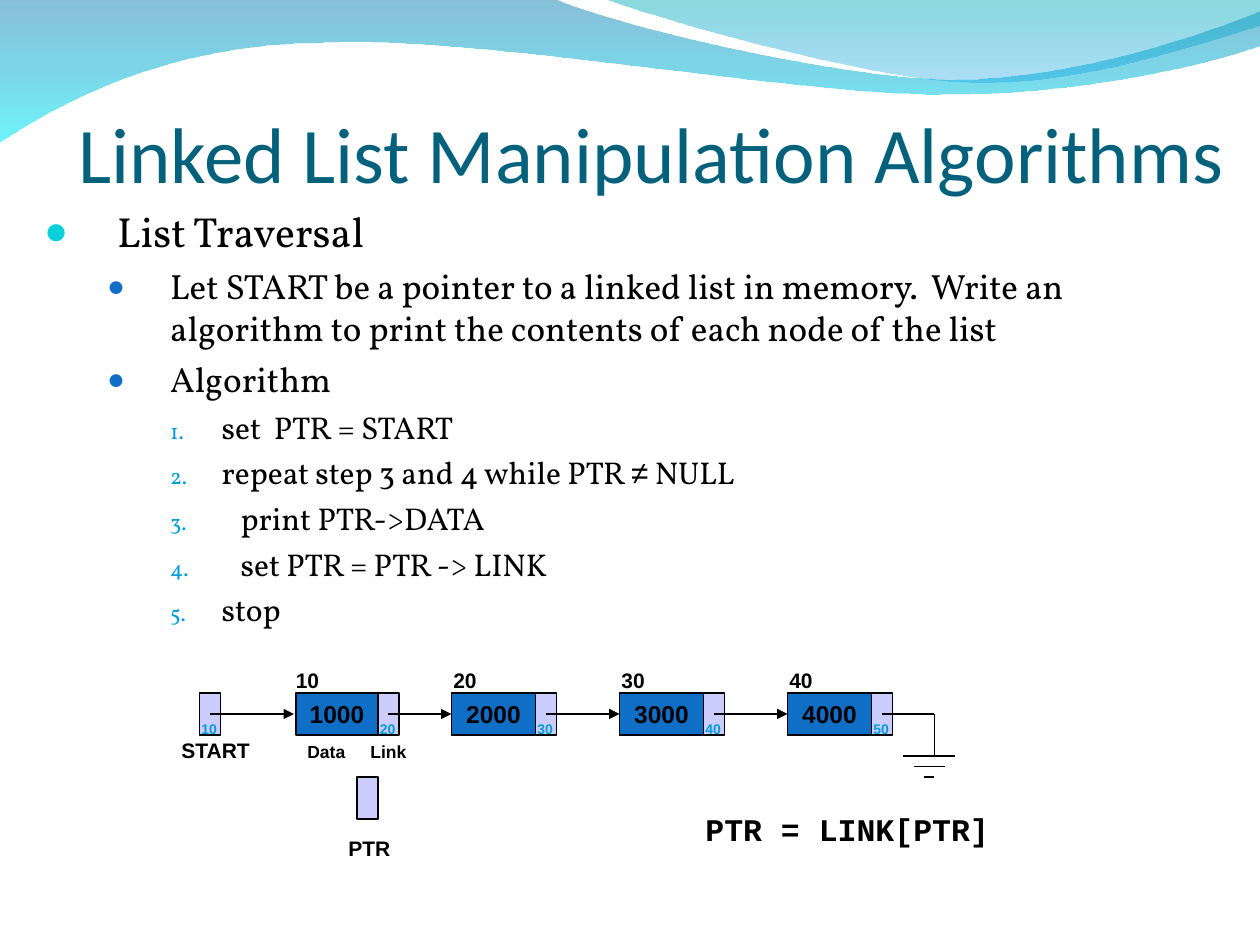
from lxml.etree import SubElement
from pptx import Presentation
from pptx.dml.color import RGBColor
from pptx.enum.shapes import MSO_CONNECTOR, MSO_SHAPE
from pptx.enum.text import MSO_ANCHOR, MSO_AUTO_SIZE, PP_ALIGN
from pptx.oxml.ns import qn
from pptx.util import Inches, Pt

COLORS = {
    "black": "000000", "title": "04617B", "data": "0F6FC6", "link": "CCCCFF",
    "pointer": "009DD9", "topic": "0BD0D9",
    "wave top": "0079AF", "wave bottom": "00EBF8",
    "crest top": "00ADB6", "crest bottom": "009BE5",
}
COLUMNS, ROWS = 120, 90
CELL = Inches(10) // COLUMNS  # square grid cells, twelve to the inch
FINE = 100  # outline steps in a cell

# Outline level: size, space before, text indent and hang in inches, bullet colour and percent
LEVELS = [
    (24, 6, 0.58, 0.58, "topic", 95),
    (20, 5, 1, 0.5, "data", 85),
    (18, 4.5, 1.41, 0.41, "pointer", 70),
]
OUTLINE = [
    (0, "List Traversal"),
    (1, "Let START be a pointer to a linked list in memory.  Write an "
        "algorithm to print the contents of each node of the list"),
    (1, "Algorithm"),
    (2, "set  PTR = START"),
    (2, [("repeat step 3 and 4 while PTR ", "Vollkorn"), ("≠", "Arial"), (" NULL", "Vollkorn")]),
    (2, "\tprint PTR->DATA"),
    (2, "\tset PTR = PTR -> LINK"),
    (2, "stop"),
]
# Node: left column, link column, address, data, link value
NODES = [
    (28.2, 36, "10", "1000", "20"),
    (43, 51, "20", "2000", "30"),
    (59, 67, "30", "3000", "40"),
    (75, 83, "40", "4000", "50"),
]
BOX_ROW, ARROW_ROW = 66, 68


def rgb(name):
    return RGBColor.from_string(COLORS[name])


def write(paragraph, text, font="Arial", size=12, color="black", bold=True, align=PP_ALIGN.LEFT):
    """Fill a paragraph with text, or with (text, font) pieces."""
    paragraph.alignment = align
    for piece, face in [(text, font)] if isinstance(text, str) else text:
        run = paragraph.add_run()
        run.text = piece
        run.font.name, run.font.size, run.font.bold = face, Pt(size), bold
        run.font.color.rgb = rgb(color)


class Board:
    def __init__(self, slide):
        self.slide = slide
        self.shapes = slide.shapes

    def area(self, *cells):
        return [round(cell * CELL) for cell in cells]

    def wave(self, start, segments, top, bottom):
        """Gradient outline; a segment is one point (line) or three (curve)."""
        points = [tuple(round(value * FINE) for value in point)
                  for point in [start] + sum(segments, [])]
        builder = self.shapes.build_freeform(*points[0], scale=CELL / FINE)
        builder.add_line_segments(points[1:], close=True)
        shape = builder.convert_to_shape()

        # Join each three-point segment into one curve
        steps = iter(list(shape._element.iter(qn("a:lnTo"))))
        for segment in segments:
            parts = [next(steps) for _ in segment]
            if len(parts) == 3:
                parts[0].tag = qn("a:cubicBezTo")
                for part in parts[1:]:
                    parts[0].append(part[0])
                    part.getparent().remove(part)

        shape.shadow.inherit = False
        shape.line.fill.background()
        shape.fill.gradient()
        shape.fill.gradient_angle = 270
        for stop, (color, _) in zip(shape.fill.gradient_stops, (top, bottom)):
            stop.color.rgb = rgb(color)
        for element, (_, opacity) in zip(shape._element.spPr.iter(qn("a:srgbClr")), (top, bottom)):
            SubElement(element, qn("a:alpha"), val=str(opacity * 1000))

    def placeholder(self, index, area, anchor):
        """Move a template placeholder in front of the waves."""
        holder = self.slide.placeholders[index]
        holder.left, holder.top, holder.width, holder.height = self.area(*area)
        self.shapes._spTree.append(holder._element)
        frame = holder.text_frame
        frame.auto_size, frame.vertical_anchor = MSO_AUTO_SIZE.NONE, anchor
        return frame

    def title(self, text, area):
        frame = self.placeholder(0, area, MSO_ANCHOR.BOTTOM)
        frame.margin_left = frame.margin_right = frame.margin_bottom = 0
        write(frame.paragraphs[0], text, font="Calibri", size=45, color="title", bold=False,
              align=PP_ALIGN.CENTER)

    def outline(self, items, area):
        frame = self.placeholder(1, area, MSO_ANCHOR.TOP)
        for position, (level, text) in enumerate(items):
            size, before, indent, hang, color, percent = LEVELS[level]
            paragraph = frame.add_paragraph() if position else frame.paragraphs[0]
            paragraph.level = level
            props = paragraph._p.get_or_add_pPr()
            props.set("marL", str(Inches(indent)))
            props.set("indent", str(-Inches(hang)))
            SubElement(SubElement(props, qn("a:buClr")), qn("a:srgbClr"), val=COLORS[color])
            SubElement(props, qn("a:buSzPct"), val=str(percent * 1000))
            if level == 2:
                SubElement(props, qn("a:buFont"), typeface="Vollkorn")
                SubElement(props, qn("a:buAutoNum"), type="arabicPeriod")
            else:
                SubElement(props, qn("a:buFont"), typeface="Arial")
                SubElement(props, qn("a:buChar"), char="●")
            SubElement(SubElement(props, qn("a:tabLst")), qn("a:tab"), pos=str(Inches(1.56)), algn="l")
            paragraph.space_before = Pt(before if position else 0)
            write(paragraph, text, font="Vollkorn", size=size, bold=False)

    def box(self, column, row, width=2, fill="link", text=None):
        shape = self.shapes.add_shape(MSO_SHAPE.RECTANGLE, *self.area(column, row, width, 4))
        shape.shadow.inherit = False
        shape.fill.solid()
        shape.fill.fore_color.rgb = rgb(fill)
        shape.line.color.rgb, shape.line.width = rgb("black"), Pt(0.75)
        if text:
            shape.text_frame.vertical_anchor = MSO_ANCHOR.MIDDLE
            write(shape.text_frame.paragraphs[0], text, size=14, align=PP_ALIGN.CENTER)

    def label(self, text, column, row, width, height=3.6, wrap=False, spacing=None, **style):
        frame = self.shapes.add_textbox(*self.area(column, row, width, height)).text_frame
        frame.word_wrap = wrap
        frame.paragraphs[0].line_spacing = spacing
        write(frame.paragraphs[0], text, **style)

    def pointer_value(self, text, link_column):
        self.label(text, link_column - 1, ARROW_ROW, 4, 2.9, wrap=True, size=8, color="pointer")

    def line(self, start, end, arrow=False, group=None):
        shapes = group.shapes if group else self.shapes
        connector = shapes.add_connector(MSO_CONNECTOR.STRAIGHT, *self.area(*start, *end))
        connector.line.color.rgb, connector.line.width = rgb("black"), Pt(0.75)
        if arrow:
            SubElement(connector.line._get_or_add_ln(), qn("a:tailEnd"), type="triangle")
        SubElement(connector._element.spPr, qn("a:effectLst"))


def main():
    deck = Presentation()
    deck.slide_width, deck.slide_height = COLUMNS * CELL, ROWS * CELL
    board = Board(deck.slides.add_slide(deck.slide_layouts[1]))

    # Waves along the top
    board.wave((0, -0.1), [
        [(52.8, -0.1)],
        [(57.1, 2), (79.7, 7.56), (91, 7.56)],
        [(102.4, 7.56), (115, 3.1), (120, 1.1)],
        [(120.1, 4.3)],
        [(118, 5.3), (104.4, 9.1), (89.5, 9)],
        [(74.6, 9), (45.8, 3.4), (30.8, 4.1)],
        [(15.5, 4.2), (5.5, 10), (-0.1, 13.6)],
    ], ("wave top", 47), ("wave bottom", 57))
    board.wave((57.5, -0.1), [
        [(61.1, 1.3), (81.8, 7.4), (92.3, 7.8)],
        [(102.7, 8.3), (115.3, 3.8), (120, 2.5)],
        [(120, 0)],
    ], ("crest top", 47), ("crest bottom", 32))

    # Title and algorithm
    board.title("Linked List Manipulation Algorithms", (6, 6, 112, 13))
    board.outline(OUTLINE, (3, 19, 111, 43))

    # START pointer
    board.box(19, BOX_ROW)
    board.pointer_value("10", 19)
    board.label("START", 16.1, 69.7, 9)

    # Nodes, each reached by an arrow from the link before it
    previous_link = 19
    for left, link, address, data, value in NODES:
        board.box(left, BOX_ROW, link - left, "data", data)
        board.box(link, BOX_ROW)
        board.line((previous_link + 1, ARROW_ROW), (int(left), ARROW_ROW), arrow=True)
        board.label(address, int(left) - 1, 63, 4.6)
        board.pointer_value(value, link)
        previous_link = link
    board.label("Data", 28.1, 70, 6, 3.2, size=10)
    board.label("Link", 34.1, 70, 5.8, 3.2, size=10)

    # Ground symbol that ends the list
    ground = board.shapes.add_group_shape()
    board.line((84, ARROW_ROW), (89, ARROW_ROW), group=ground)
    board.line((89, ARROW_ROW), (89, 72), group=ground)
    for step in range(3):
        board.line((86 + step, 72 + step), (91 - step, 72 + step), group=ground)

    # PTR pointer and its update
    board.box(34, 74)
    board.label("PTR", 32, 79, 6.4)
    board.label("PTR = LINK[PTR]", 66, 77, 41.3, 4.4, spacing=0.9, font="Courier New", size=18)

    deck.save("out.pptx")


if __name__ == "__main__":
    main()
